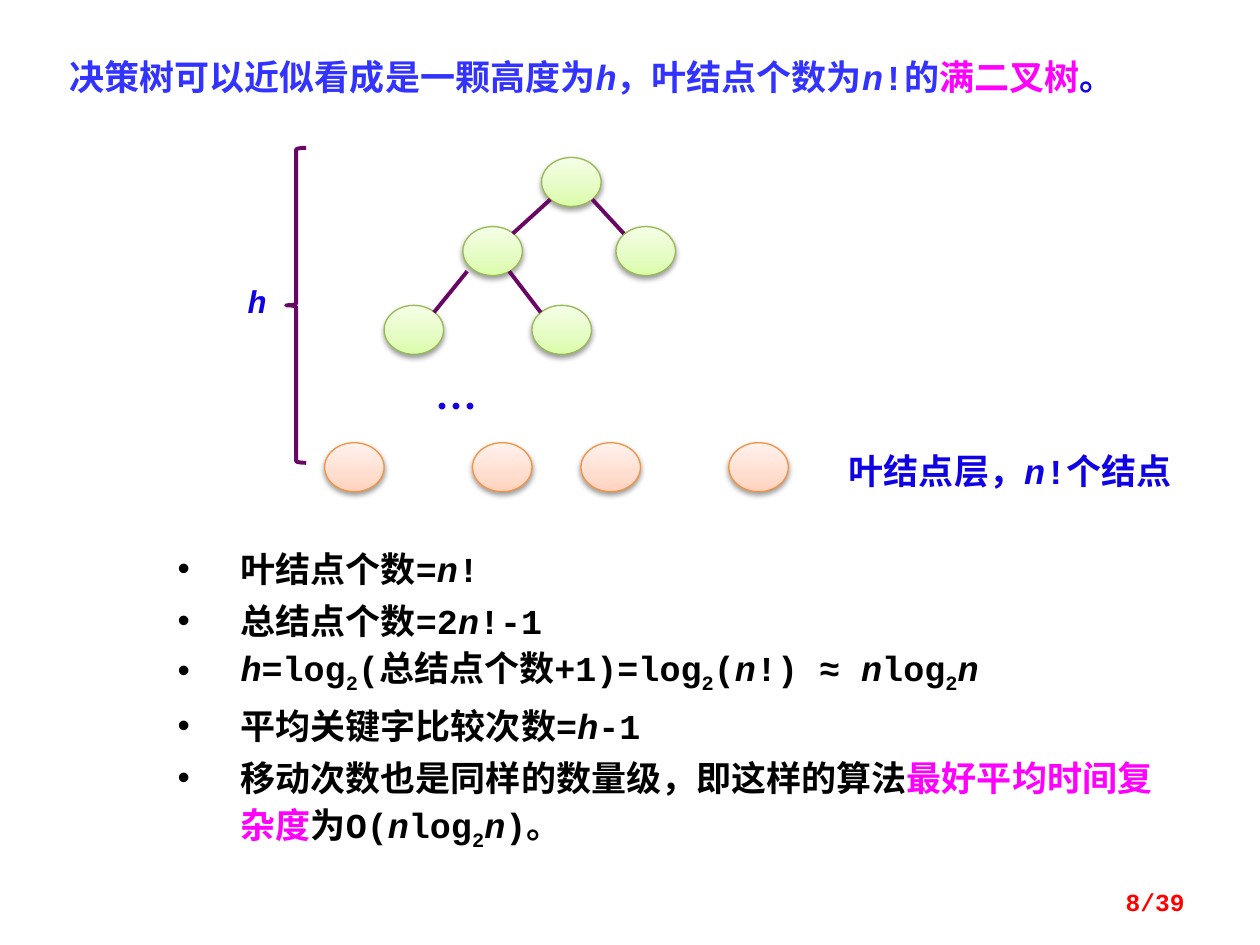
import pptx
import pptx.util
import pptx.dml.color
import pptx.enum.shapes
import pptx.enum.text
import pptx.oxml
import pptx.oxml.ns

Pt = pptx.util.Pt
SHAPE = pptx.enum.shapes.MSO_SHAPE
ALIGN = pptx.enum.text.PP_ALIGN
ANCHOR = pptx.enum.text.MSO_ANCHOR
LATIN, CHINESE = "Courier New", "Noto Sans CJK SC"
BLUE, BRIGHT_BLUE, PURPLE, PINK, RED = "1000E4", "3333FF", "690764", "FF00FF", "FF0000"

# A run is plain text or (text, style); a style is "i", "sub", "sub i" or a colour.
TITLE = [(" ", BLUE), "决策树可以近似看成是一颗高度为", ("h", "i"), "，叶结点个数为",
         ("n", "i"), "!的", ("满二叉树", PINK), ("。", BLUE)]
LEAF_LABEL = ["叶结点层，", ("n", "i"), "!个结点"]
FACTS = [
    ["叶结点个数=", ("n", "i"), "!"],
    ["总结点个数=2", ("n", "i"), "!-1"],
    [("h", "i"), "=log", ("2", "sub"), "(总结点个数+1)=log", ("2", "sub"), "(",
     ("n", "i"), "!) ≈ ", ("n", "i"), "log", ("2", "sub"), ("n", "i")],
    ["平均关键字比较次数=", ("h", "i"), "-1"],
    ["移动次数也是同样的数量级，即这样的算法", ("最好平均时间复杂度", PINK), "为O(",
     ("n", "i"), "log", ("2", "sub"), ("n", "i"), ")。"],
]

NODE_WIDTH, NODE_HEIGHT = 34, 28
GREEN = ("DAFDA7", "E4FCC2", "F5FFE7", "98B955")
ORANGE = ("FFD2BD", "FFDED0", "FFF2ED", "F69240")
INNER_NODES = [(309.5, 90), (264.5, 129.5), (352, 129.5), (219.5, 174.5), (304, 174.5)]
LEAF_LEFTS, LEAF_TOP = (185.5, 270, 332, 416.5), 253
EDGES = [((314.5, 114), (293, 133.5)), ((338.5, 114), (356.5, 133.5)),
         ((267, 155), (248, 178.5)), ((291, 155), (309, 178.5))]


def color(value):
    """Turn a hex string into a colour."""
    return pptx.dml.color.RGBColor.from_string(value)


def parse(xml):
    """Parse one drawing element whose root carries the a: namespace mark."""
    return pptx.oxml.parse_xml(xml.replace("NS", pptx.oxml.ns.nsdecls("a"), 1))


def write(paragraph, runs, size, ink, font=LATIN):
    """Fill a paragraph with bold styled runs."""
    for item in runs:
        text, style = (item, "") if isinstance(item, str) else item
        span = paragraph.add_run()
        span.text = text
        span.font.name, span.font.size, span.font.bold = font, Pt(size), True
        span.font.italic = style == "i"
        span.font.color.rgb = color(style if len(style) == 6 else ink)
        properties = span.font._element
        properties.append(parse(f'<a:ea NS typeface="{CHINESE}"/>'))
        if style == "sub":
            properties.set("baseline", "-25000")


def add_text(at, runs, size=20, ink=BLUE, font=LATIN):
    """Add a one-paragraph text box and return it."""
    box = slide.shapes.add_textbox(*map(Pt, at))
    box.text_frame.word_wrap = True
    write(box.text_frame.paragraphs[0], runs, size, ink, font)
    return box


def add_node(left, top, palette):
    """Add a tree node with a gradient and a soft shadow."""
    node = slide.shapes.add_shape(SHAPE.OVAL, Pt(left), Pt(top), Pt(NODE_WIDTH), Pt(NODE_HEIGHT))
    stops = "".join(f'<a:gs pos="{place}"><a:srgbClr val="{shade}"/></a:gs>'
                    for place, shade in zip((0, 35000, 100000), palette))
    node.line.color.rgb, node.line.width = color(palette[3]), Pt(0.75)
    properties = node._element.spPr
    properties.insert(2, parse(f'<a:gradFill NS rotWithShape="1"><a:gsLst>{stops}</a:gsLst>'
                               '<a:lin ang="16200000" scaled="1"/></a:gradFill>'))
    properties.append(parse(
        f'<a:effectLst NS><a:outerShdw blurRad="{Pt(3.1)}" dist="{Pt(1.6)}" dir="5400000" '
        'rotWithShape="0"><a:srgbClr val="000000"><a:alpha val="38000"/></a:srgbClr>'
        '</a:outerShdw></a:effectLst>'))


def add_edge(start, end):
    """Connect two nodes with a plain line."""
    edge = slide.shapes.add_connector(pptx.enum.shapes.MSO_CONNECTOR.STRAIGHT,
                                      *map(Pt, start + end))
    edge.line.color.rgb, edge.line.width = color(PURPLE), Pt(2.25)
    edge._element.spPr.append(parse("<a:effectLst NS/>"))


def add_facts(at):
    """Add the white panel with the bulleted facts."""
    panel = slide.shapes.add_shape(SHAPE.RECTANGLE, *map(Pt, at))
    panel.shadow.inherit = False
    panel.fill.solid()
    panel.fill.fore_color.rgb = color("FFFFFF")
    panel.line.fill.background()
    frame = panel.text_frame
    frame.word_wrap, frame.vertical_anchor = True, ANCHOR.TOP
    frame.margin_left, frame.margin_right = Pt(11.5), Pt(7.2)
    frame.margin_top = frame.margin_bottom = Pt(8.6)
    for index, runs in enumerate(FACTS):
        para = frame.add_paragraph() if index else frame.paragraphs[0]
        para.alignment, para.line_spacing = ALIGN.LEFT, Pt(30)
        properties = para._p.get_or_add_pPr()
        properties.set("marL", str(Pt(36)))
        properties.set("indent", str(-Pt(36)))
        properties.append(parse('<a:buFont NS typeface="Arial"/>'))
        properties.append(parse('<a:buChar NS char="•"/>'))
        write(para, runs, 20, "000000")


deck = pptx.Presentation()
deck.slide_width, deck.slide_height = Pt(720), Pt(540)
slide = deck.slides.add_slide(deck.slide_layouts[5])

title = slide.shapes.title
title.left, title.top, title.width, title.height = map(Pt, (28, 28, 664, 31.5))
title.text_frame.vertical_anchor = ANCHOR.TOP
title.text_frame.word_wrap = True
title.text_frame.auto_size = pptx.enum.text.MSO_AUTO_SIZE.NONE
title.text_frame.paragraphs[0].alignment = ALIGN.LEFT
write(title.text_frame.paragraphs[0], TITLE, 20, BRIGHT_BLUE)

for left, top in INNER_NODES:
    add_node(left, top, GREEN)
for start, end in EDGES:
    add_edge(start, end)
for left in LEAF_LEFTS:
    add_node(left, LEAF_TOP, ORANGE)

brace = slide.shapes.add_shape(SHAPE.LEFT_BRACE, Pt(163.5), Pt(84.5), Pt(11.5), Pt(180))
brace.shadow.inherit = False
brace.fill.background()
brace.line.color.rgb, brace.line.width = color(PURPLE), Pt(2.25)

add_text((242, 214, 84, 36), ["… "], 24, font=CHINESE)
leaf_label = add_text((478, 253.5, 208, 31.5), LEAF_LABEL)
leaf_label.text_frame.margin_right = 0
add_text((134.5, 157.5, 28, 29), [("h", "i")], 18)
add_facts((90, 298, 590.5, 198.5))

page_number = add_text((516, 500.5, 168, 29), ["8/39"], 14, RED)
page_number.text_frame.vertical_anchor = ANCHOR.MIDDLE
page_number.text_frame.paragraphs[0].alignment = ALIGN.RIGHT

deck.save("out.pptx")
